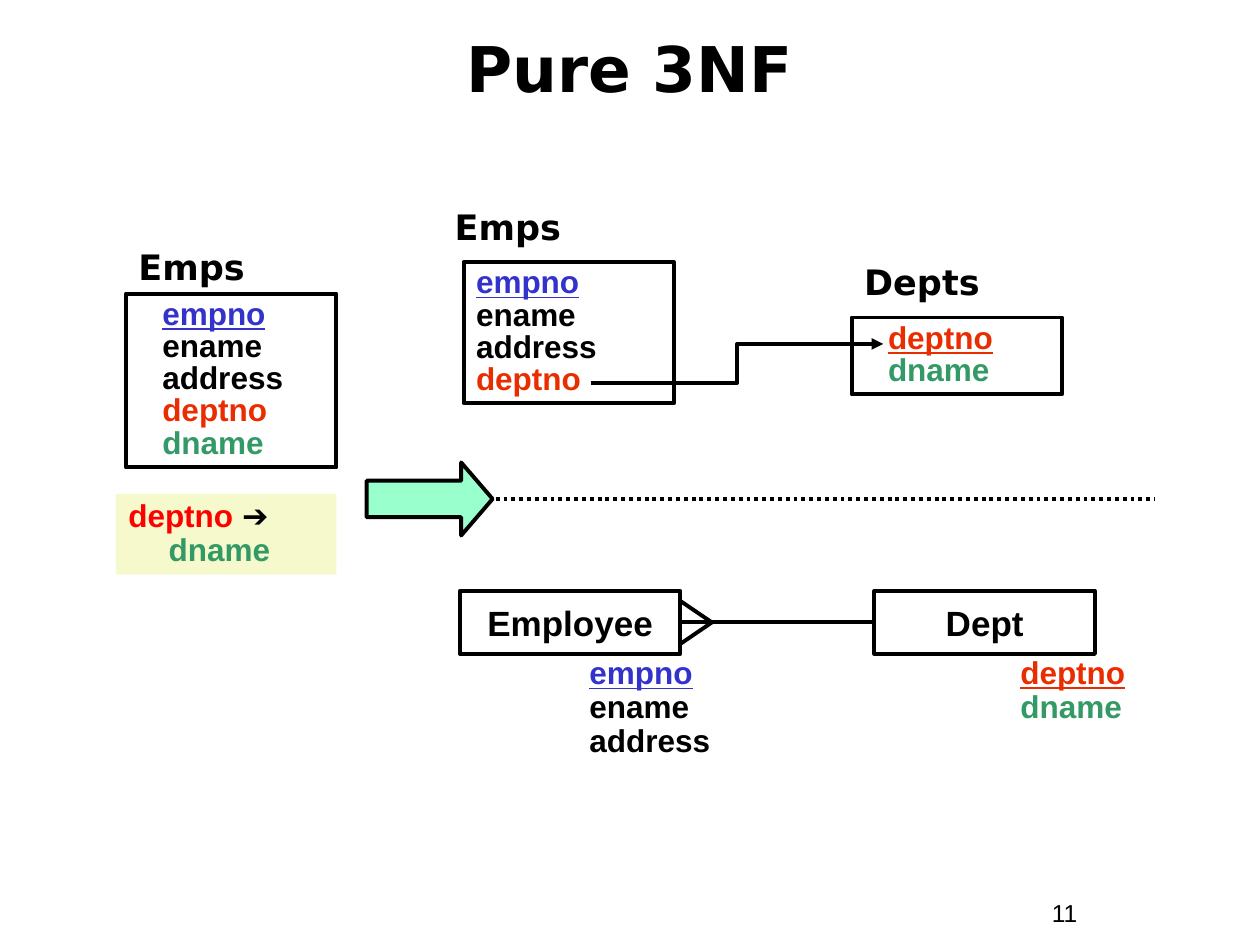
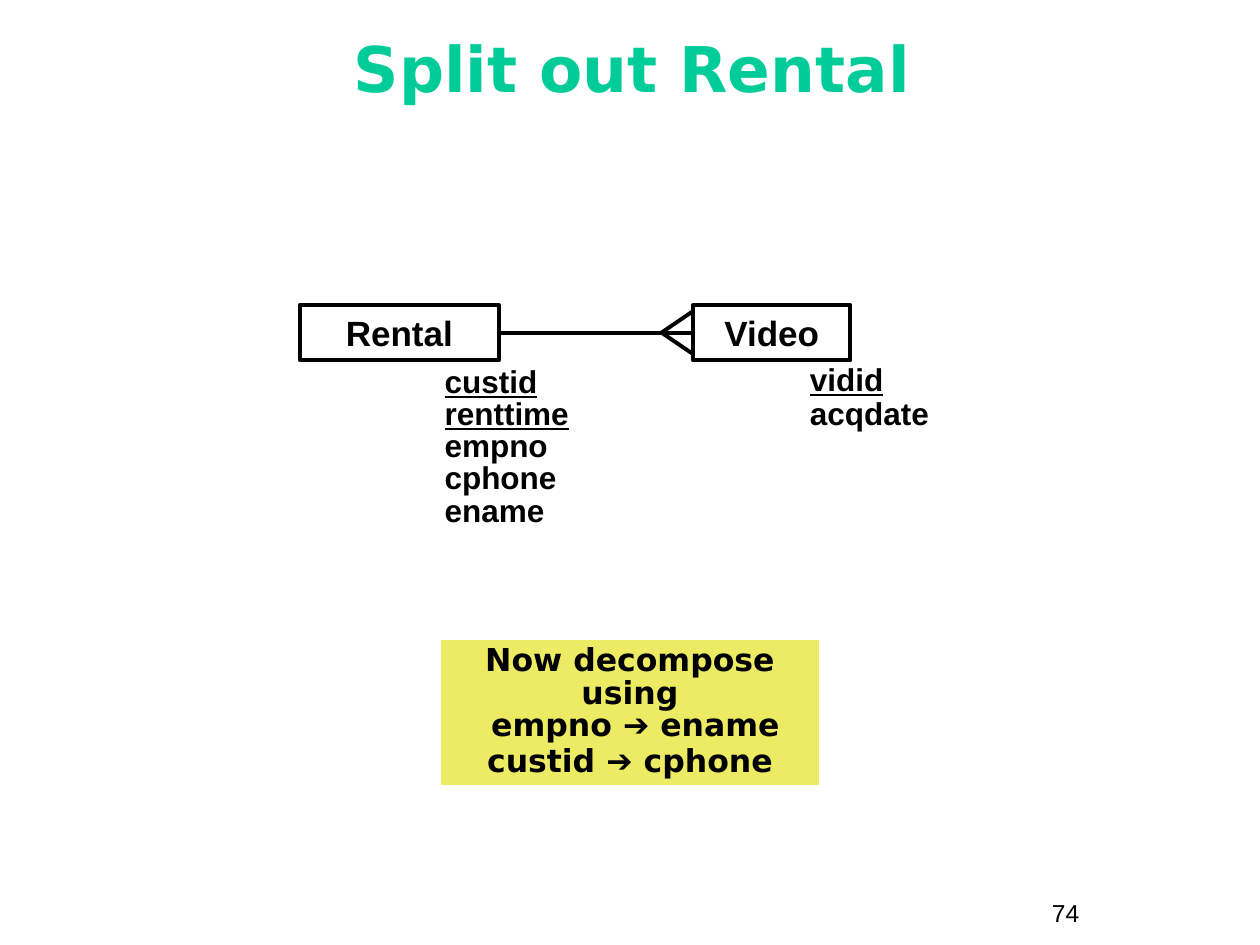
from dataclasses import dataclass

from lxml import etree
from pptx import Presentation
from pptx.dml.color import RGBColor
from pptx.enum.dml import MSO_LINE
from pptx.enum.shapes import MSO_CONNECTOR, MSO_SHAPE
from pptx.enum.text import MSO_ANCHOR, MSO_AUTO_SIZE, PP_ALIGN
from pptx.oxml.ns import qn
from pptx.util import Inches, Pt

STRAIGHT, ELBOW = MSO_CONNECTOR.STRAIGHT, MSO_CONNECTOR.ELBOW
RECTANGLE, RIGHT_ARROW = MSO_SHAPE.RECTANGLE, MSO_SHAPE.RIGHT_ARROW
LEFT, CENTER = PP_ALIGN.LEFT, PP_ALIGN.CENTER
TOP, MIDDLE = MSO_ANCHOR.TOP, MSO_ANCHOR.MIDDLE
NO_FIT = MSO_AUTO_SIZE.NONE
DOTTED = MSO_LINE.ROUND_DOT
TITLE_ONLY = 5
BREAK = "\n"


@dataclass(frozen=True)
class Theme:
    black: str = "000000"
    blue: str = "3333CC"
    orange: str = "EA2D00"
    red: str = "FF0000"
    green: str = "339966"
    teal: str = "00CC99"
    mint: str = "99FFCC"
    cream: str = "F6F9CB"
    yellow: str = "EDEA63"
    body_font: str = "Arial"
    heading_font: str = "DejaVu Sans"
    title_size: float = 36
    heading_size: float = 20
    field_size: float = 18
    number_size: float = 14
    line_width: float = 2.24
    tight: float = 0.85
    loose: float = 0.9


THEME = Theme()


@dataclass(frozen=True)
class Box:
    left: float
    top: float
    width: float
    height: float

    @property
    def right(self):
        return self.left + self.width

    @property
    def bottom(self):
        return self.top + self.height

    @property
    def middle(self):
        return self.top + self.height / 2

    def lengths(self):
        return [Inches(v) for v in (self.left, self.top, self.width, self.height)]


@dataclass(frozen=True)
class Span:
    text: str
    color: str = THEME.black
    key: bool = False
    font: str = THEME.body_font
    size: float = THEME.field_size
    bold: bool = True


def heading_span(text, color=THEME.black, size=THEME.heading_size):
    return Span(text, color, font=THEME.heading_font, size=size)


def write(shape, paragraphs, align=LEFT, anchor=TOP, spacing=1.0, before=0,
          indent=0, hanging=0):
    frame = shape.text_frame
    frame.word_wrap = True
    frame.auto_size = NO_FIT
    frame.vertical_anchor = anchor
    frame.margin_left = frame.margin_right = Inches(0.1)
    frame.margin_top = frame.margin_bottom = Inches(0.05)
    for index, spans in enumerate(paragraphs):
        para = frame.add_paragraph() if index else frame.paragraphs[0]
        para.alignment = align
        para.line_spacing = spacing
        para.space_before = Pt(before)
        properties = para._p.get_or_add_pPr()
        properties.set("marL", str(Inches(indent)))
        properties.set("indent", str(Inches(-hanging)))
        for span in spans:
            if span.text == BREAK:
                para.add_line_break()
                continue
            run = para.add_run()
            run.text = span.text
            run.font.name = span.font
            run.font.size = Pt(span.size)
            run.font.bold = span.bold
            run.font.underline = span.key
            run.font.color.rgb = RGBColor.from_string(span.color)


def add_text(page, box, paragraphs, **layout):
    shape = page.shapes.add_textbox(*box.lengths())
    write(shape, paragraphs, **layout)


def add_block(page, box, fill=None, outlined=True, preset=RECTANGLE):
    shape = page.shapes.add_shape(preset, *box.lengths())
    shape.shadow.inherit = False
    if fill:
        shape.fill.solid()
        shape.fill.fore_color.rgb = RGBColor.from_string(fill)
    else:
        shape.fill.background()
    if outlined:
        format_line(shape.line)
    else:
        shape.line.fill.background()
    return shape


def format_line(line):
    line.color.rgb = RGBColor.from_string(THEME.black)
    line.width = Pt(THEME.line_width)


def add_line(page, start, end, kind=STRAIGHT, dash=None, arrow=False):
    line = page.shapes.add_connector(kind, *[Inches(v) for v in (*start, *end)])
    format_line(line.line)
    if dash:
        line.line.dash_style = dash
    if arrow:
        outline = line.line._get_or_add_ln()
        etree.SubElement(outline, qn("a:tailEnd"), type="triangle")
    etree.SubElement(line._element.spPr, qn("a:effectLst"))


def add_page(deck, title, title_box, number, color=THEME.black):
    page = deck.slides.add_slide(deck.slide_layouts[TITLE_ONLY])
    holder = page.shapes.title
    holder.left, holder.top, holder.width, holder.height = title_box.lengths()
    write(holder, [[heading_span(title, color, THEME.title_size)]],
          align=CENTER, anchor=MIDDLE, spacing=THEME.tight)
    add_text(page, Box(8.25, 7.08, 0.92, 0.34),
             [[Span(number, size=THEME.number_size, bold=False)]])
    return page


def list_height(fields, spacing):
    return 0.1 + 0.3 * spacing * len(fields)


def add_table_sketch(page, box, name, fields, name_at, indent=0):
    name_left, name_top = name_at
    add_text(page, Box(box.left + name_left, box.top + name_top, box.width, 0.44),
             [[heading_span(name)]])
    write(add_block(page, box), [[field] for field in fields],
          spacing=THEME.tight, indent=indent)


def add_entity(page, box, name, fields, offset, width, spacing=THEME.loose, gap=-0.02):
    write(add_block(page, box), [[Span(name, size=THEME.heading_size)]],
          align=CENTER, anchor=MIDDLE)
    list_box = Box(box.left + offset, box.bottom + gap, width,
                   list_height(fields, spacing))
    add_text(page, list_box, [[field] for field in fields], spacing=spacing)


def add_relation(page, many_edge, one_edge, middle):
    toward_one = 0.25 if one_edge > many_edge else -0.25
    add_line(page, (many_edge, middle), (one_edge, middle))
    for spread in (-0.17, 0.17):
        add_line(page, (many_edge + toward_one, middle), (many_edge, middle + spread))


def add_note(page, box, fill, paragraphs, **layout):
    write(add_block(page, box, fill, outlined=False), paragraphs, **layout)


def build_normal_form(deck):
    page = add_page(deck, "Pure 3NF", Box(0.33, 0.17, 9.33, 0.83), "11")
    empno, ename, address = Span("empno", THEME.blue, key=True), Span("ename"), Span("address")
    deptno, dname = Span("deptno", THEME.orange), Span("dname", THEME.green)
    dept_key = Span("deptno", THEME.orange, key=True)

    employee, dept = Box(3.65, 4.69, 1.75, 0.5), Box(6.94, 4.69, 1.75, 0.5)
    add_entity(page, employee, "Employee", [empno, ename, address], 0.93, 1.17)
    add_entity(page, dept, "Dept", [dept_key, dname], 1.06, 1.17)
    add_relation(page, employee.right, dept.left, employee.middle)

    add_table_sketch(page, Box(3.68, 2.08, 1.67, 1.12), "Emps",
                     [empno, ename, address, deptno], (-0.17, -0.5))
    add_table_sketch(page, Box(6.76, 2.52, 1.67, 0.61), "Depts",
                     [dept_key, dname], (0, -0.5), indent=0.19)
    add_line(page, (4.69, 3.04), (7.01, 2.73), ELBOW, arrow=True)
    add_table_sketch(page, Box(1, 2.33, 1.67, 1.38), "Emps",
                     [empno, ename, address, deptno, dname], (0, -0.43), indent=0.19)

    add_note(page, Box(0.92, 3.92, 1.75, 0.64), THEME.cream,
             [[Span("deptno ", THEME.red), Span("➔"), Span(BREAK), dname]],
             spacing=THEME.loose, indent=0.32, hanging=0.32)
    add_line(page, (3.25, 3.96), (9.17, 3.96), dash=DOTTED)
    arrow = add_block(page, Box(2.91, 3.67, 1, 0.58), THEME.mint, preset=RIGHT_ARROW)
    arrow.adjustments[0], arrow.adjustments[1] = 0.5, 0.43


def build_rental_split(deck):
    page = add_page(deck, "Split out Rental", Box(0.35, 0.21, 9.33, 0.75), "74", THEME.teal)
    rental, video = Box(2.38, 2.42, 1.58, 0.44), Box(5.5, 2.42, 1.25, 0.44)
    add_entity(page, video, "Video", [Span("vidid", key=True), Span("acqdate")], 0.83, 1.42)
    rental_fields = [Span("custid", key=True), Span("renttime", key=True),
                     Span("empno"), Span("cphone"), Span("ename")]
    add_entity(page, rental, "Rental", rental_fields, 1.05, 1.48, THEME.tight, gap=0.01)
    add_relation(page, video.left, rental.right, video.middle)

    def words(text):
        return heading_span(text, size=THEME.field_size)

    add_note(page, Box(3.5, 5.08, 3, 1.15), THEME.yellow,
             [[words("Now decompose using"), Span(BREAK),
               words(" empno "), Span("➔"), words(" ename")],
              [words("custid "), Span("➔"), words(" cphone")]],
             align=CENTER, spacing=THEME.tight, before=2.2)


def main():
    deck = Presentation()
    deck.slide_width, deck.slide_height = Inches(10), Inches(7.5)
    build_normal_form(deck)
    build_rental_split(deck)
    deck.save("out.pptx")


main()
